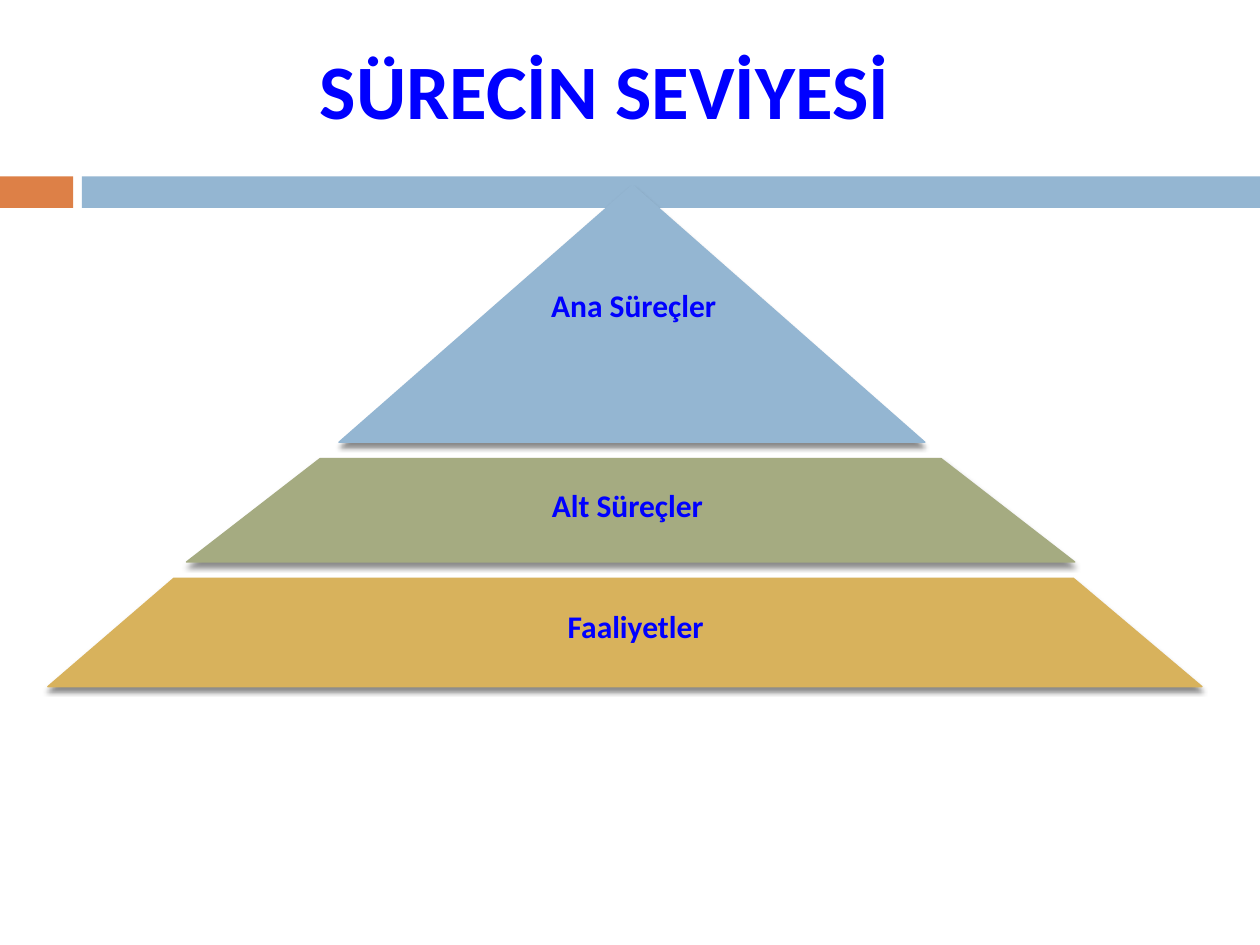
from lxml import etree
from pptx import Presentation
from pptx.dml.color import RGBColor
from pptx.enum import shapes, text
from pptx.oxml.ns import qn
from pptx.util import Inches, Pt

BLUE, ORANGE, GREEN, GOLD = "94B6D2", "DD8047", "A5AB81", "D8B25C"
TEXT_BLUE = "0000FF"

# box of the tier, insets of its top corners, colour, label, label box
TIERS = [
    ((2.69, 1.47, 4.65, 2.04), (2.33, 2.32), BLUE,
     "Ana Süreçler", (4.15, 2.22, 1.76, 0.4)),
    ((1.48, 3.64, 7.05, 0.82), (1.06, 1.06), GREEN,
     "Alt Süreçler", (3.7, 3.81, 2.56, 0.4)),
    ((0.38, 4.59, 9.16, 0.86), (1, 1.02), GOLD,
     "Faaliyetler", (3.44, 4.77, 3.21, 0.4)),
]


def color(hex_value):
    return RGBColor.from_string(hex_value)


def add_label(slide, box, wording, size):
    frame = slide.shapes.add_textbox(*map(Inches, box)).text_frame
    frame.word_wrap = True
    frame.auto_size = text.MSO_AUTO_SIZE.SHAPE_TO_FIT_TEXT
    paragraph = frame.paragraphs[0]
    paragraph.alignment = text.PP_ALIGN.CENTER
    run = paragraph.add_run()
    run.text = wording
    run.font.name = "Calibri"
    run.font.size = Pt(size)
    run.font.bold = True
    run.font.color.rgb = color(TEXT_BLUE)


def add_band(slide, left, top, width, height, gap=0.07, accent_width=0.58):
    """Divider with a short accent block on the left and a bar filling the rest."""
    bar_left = accent_width + gap
    blocks = [(0, accent_width, ORANGE), (bar_left, width - bar_left, BLUE)]
    for offset, block_width, fill in blocks:
        block = slide.shapes.add_shape(
            shapes.MSO_SHAPE.RECTANGLE,
            *map(Inches, (left + offset, top, block_width, height)))
        block.shadow.inherit = False
        block.fill.solid()
        block.fill.fore_color.rgb = color(fill)
        block.line.fill.background()


def add_drop_shadow(shape):
    shape.shadow.inherit = False
    effects = shape._element.spPr.find(qn("a:effectLst"))
    shadow = etree.SubElement(
        effects, qn("a:outerShdw"), blurRad=str(Pt(3)), dist=str(Pt(2.4)),
        dir="5400000", rotWithShape="0")
    black = etree.SubElement(shadow, qn("a:srgbClr"), val="000000")
    etree.SubElement(black, qn("a:alpha"), val="45000")


def add_tier(slide, box, insets, fill):
    """Pyramid slice: full width at its base, narrowed at the top by the insets."""
    left, top, width, height = box
    right, bottom = left + width, top + height
    corners = [(left, bottom), (right, bottom),
               (right - insets[1], top), (left + insets[0], top)]
    start, *others = [(Inches(x), Inches(y)) for x, y in corners]
    builder = slide.shapes.build_freeform(*start)
    builder.add_line_segments(others, close=True)
    tier = builder.convert_to_shape()
    tier.fill.solid()
    tier.fill.fore_color.rgb = color(fill)
    tier.line.color.rgb = color(fill)
    tier.line.width = Pt(0.79)
    add_drop_shadow(tier)


def add_pyramid(slide, tiers):
    for box, insets, fill, _, _ in tiers:
        add_tier(slide, box, insets, fill)
    for _, _, _, wording, label_box in tiers:
        add_label(slide, label_box, wording, 18)


def main():
    deck = Presentation()
    deck.slide_width, deck.slide_height = Inches(10), Inches(7.5)
    slide = deck.slides.add_slide(deck.slide_layouts[6])
    add_band(slide, 0, 1.4, 10, 0.25)
    add_label(slide, (0.67, 0.29, 8.26, 0.84), "SÜRECİN SEVİYESİ", 44)
    add_pyramid(slide, TIERS)
    deck.save("out.pptx")


if __name__ == "__main__":
    main()
